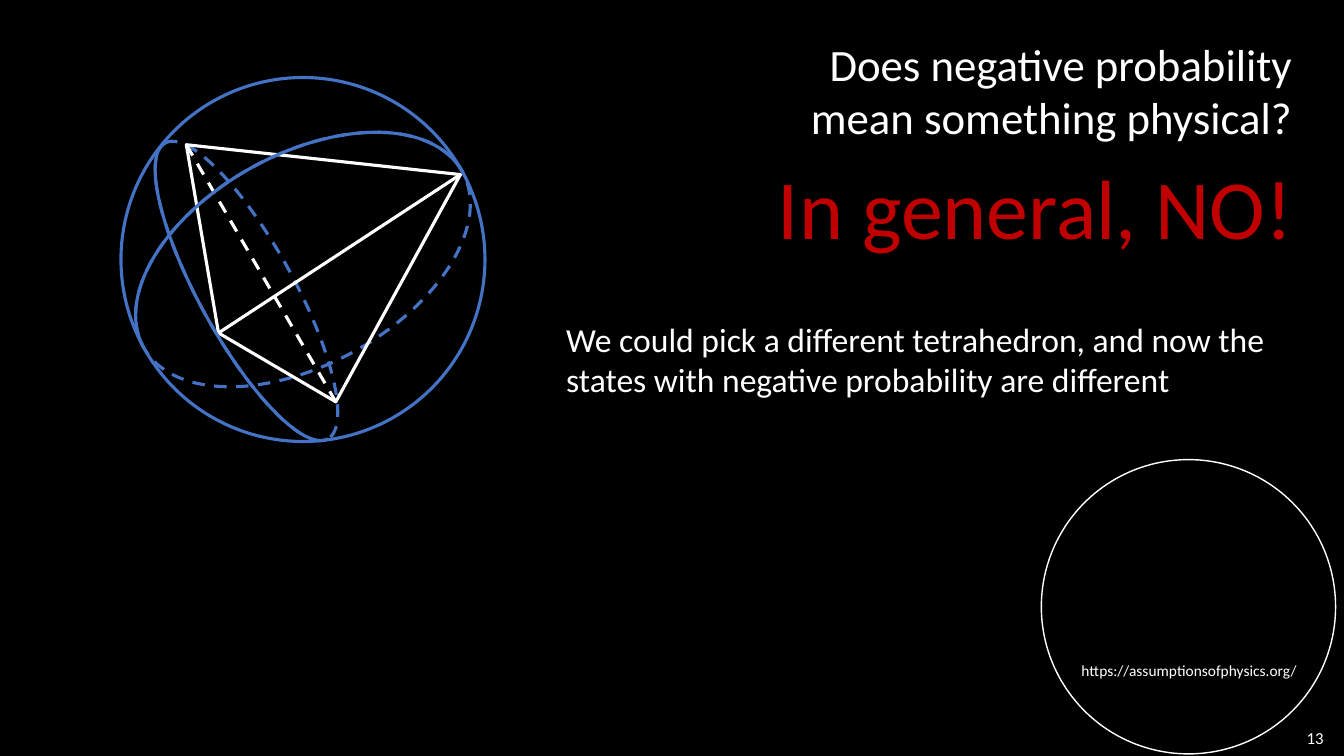
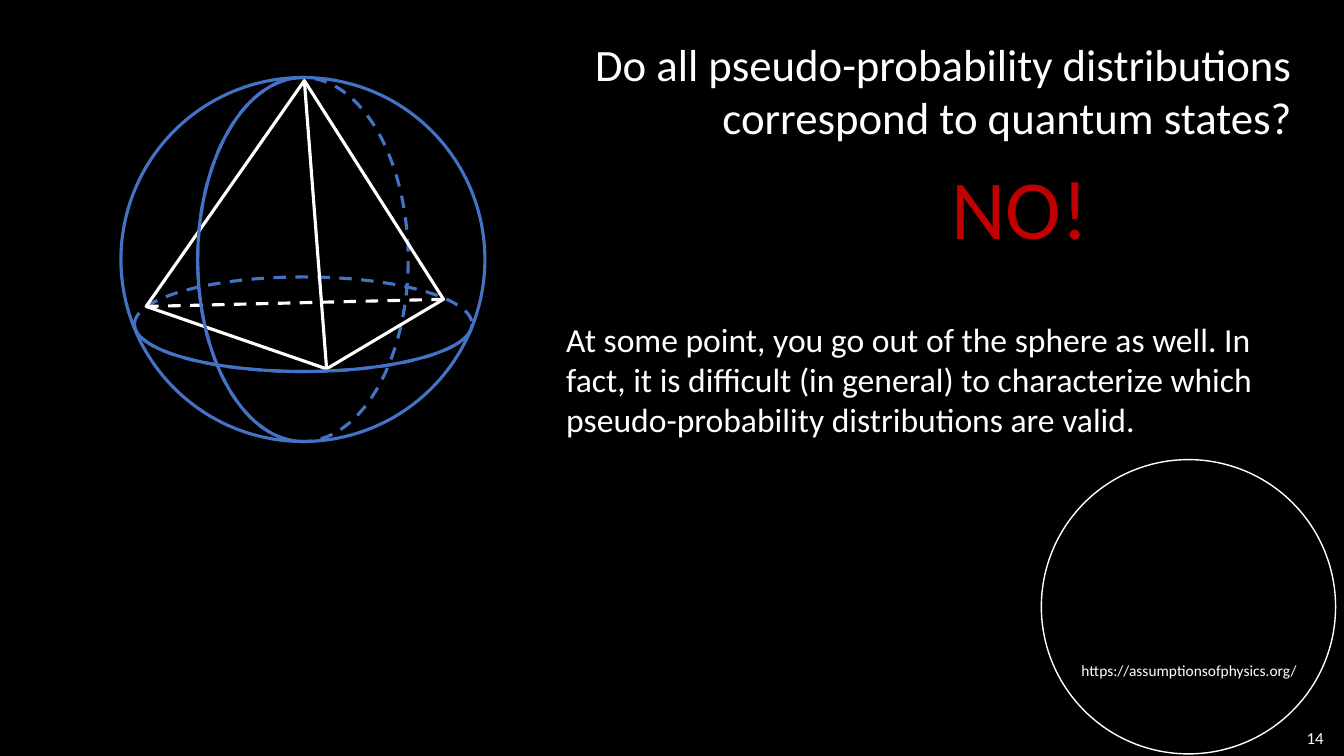
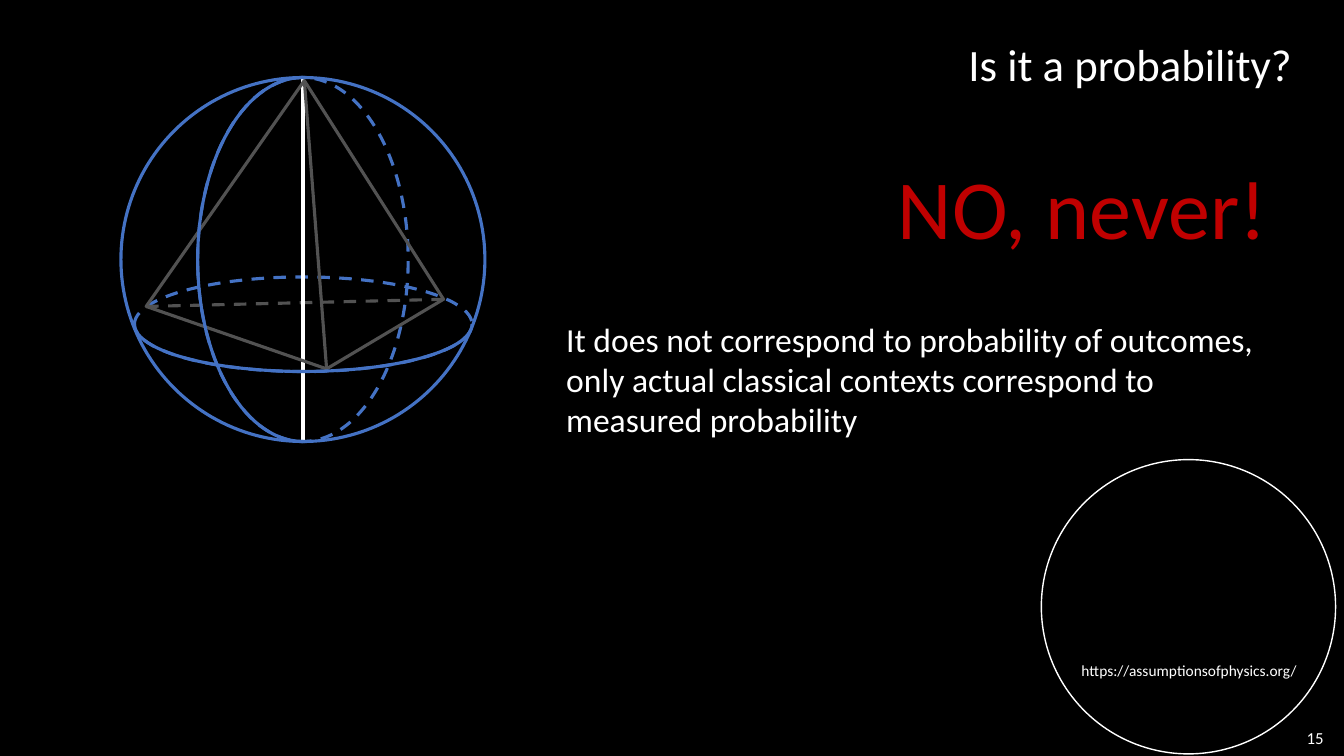
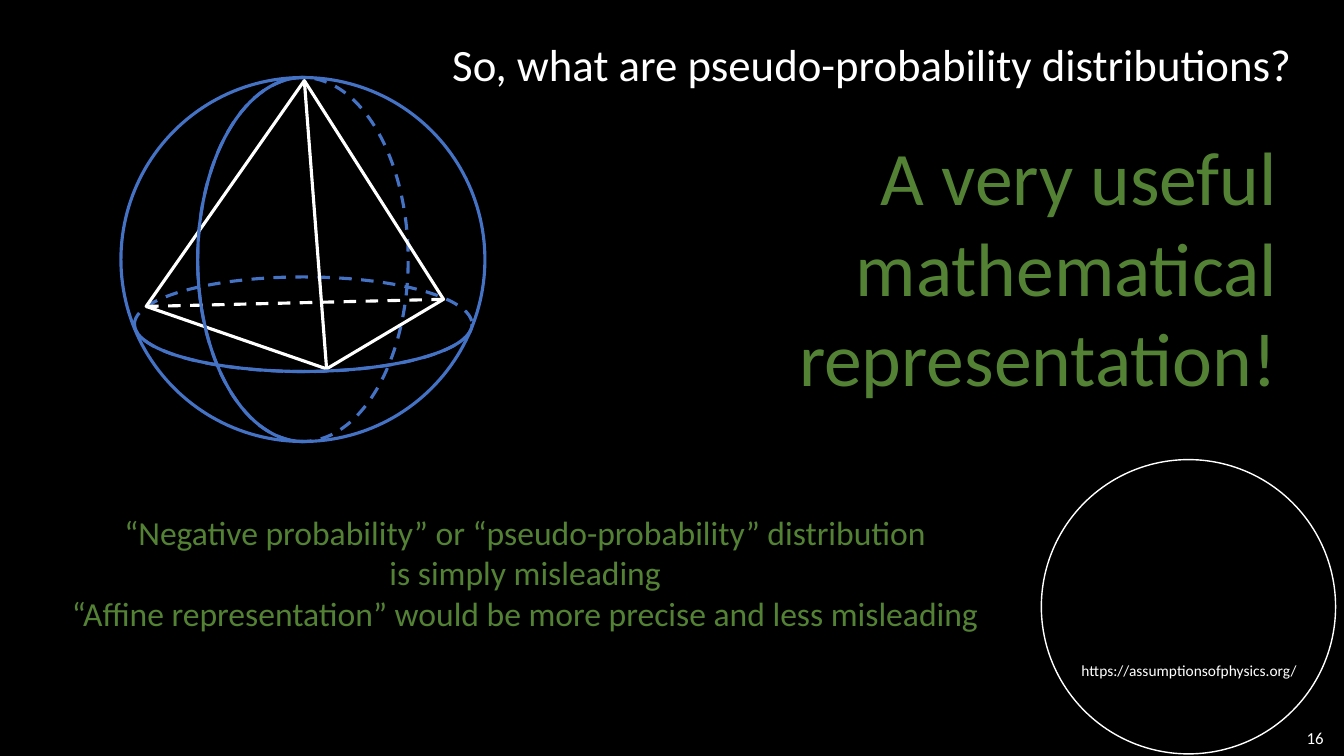
from copy import deepcopy
from math import cos, pi, sin

from lxml import etree
from pptx import Presentation
from pptx.dml.color import RGBColor
from pptx.enum.dml import MSO_LINE
from pptx.enum.shapes import MSO_CONNECTOR, MSO_SHAPE
from pptx.enum.text import MSO_ANCHOR, MSO_AUTO_SIZE, PP_ALIGN
from pptx.oxml.ns import qn
from pptx.util import Pt

OVAL = MSO_SHAPE.OVAL
STRAIGHT = MSO_CONNECTOR.STRAIGHT
DASH = MSO_LINE.DASH
LEFT, CENTER, RIGHT = PP_ALIGN.LEFT, PP_ALIGN.CENTER, PP_ALIGN.RIGHT
TOP, MIDDLE = MSO_ANCHOR.TOP, MSO_ANCHOR.MIDDLE
FIT, FIXED = MSO_AUTO_SIZE.SHAPE_TO_FIT_TEXT, MSO_AUTO_SIZE.NONE

BLACK = RGBColor(0x00, 0x00, 0x00)
WHITE = RGBColor(0xFF, 0xFF, 0xFF)
BLUE = RGBColor(0x44, 0x72, 0xC4)
GRAY = RGBColor(0x52, 0x52, 0x52)
RED = RGBColor(0xC0, 0x00, 0x00)
GREEN = RGBColor(0x54, 0x82, 0x35)
FONT = "Calibri"

SITE = "https://assumptionsofphysics.org/"
FIRST_NUMBER = 13
TITLE_RIGHT, TITLE_TOP = 930.24, 22.3

ANSWER = dict(size=60, color=RED, wrap=False)
CLAIM = dict(size=54, color=GREEN, align=RIGHT, wrap=False)
EXPLANATION = dict(size=24)
CONCLUSION = dict(size=24, color=GREEN, align=CENTER)

SLIDES = [
    dict(
        title="Does negative probability\nmean something physical?",
        title_size=(362.2, 85),
        texts=[
            ("In general, NO!", (548.6, 107.3, 386, 80), ANSWER),
            ("We could pick a different tetrahedron, and now the states with "
             "negative probability are different", (397.4, 223.9, 525.6, 65.5), EXPLANATION),
        ],
        sphere=dict(turn=61.2),
    ),
    dict(
        title="Do all pseudo-probability distributions\ncorrespond to quantum states?",
        title_size=(517.7, 85),
        texts=[
            ("NO!", (672.5, 107.3, 113.8, 80), ANSWER),
            ("At some point, you go out of the sphere as well. In fact, it is difficult "
             "(in general) to characterize which pseudo-probability distributions are valid.",
             (397.4, 223.9, 525.6, 94.3), EXPLANATION),
        ],
        sphere={},
    ),
    dict(
        title="Is it a probability?",
        title_size=(248.4, 46),
        texts=[
            ("NO, never!", (634.3, 107.3, 280.8, 80), ANSWER),
            ("It does not correspond to probability of outcomes, only actual classical "
             "contexts correspond to measured probability",
             (397.4, 223.9, 525.6, 94.3), EXPLANATION),
        ],
        sphere=dict(edge_color=GRAY, axis=True),
    ),
    dict(
        title="So, what are pseudo-probability distributions?",
        title_size=(620.6, 46),
        texts=[
            ("A very useful\nmathematical\nrepresentation!", (559.4, 89.3, 360, 203.8), CLAIM),
            ("“Negative probability” or “pseudo-probability” distribution\n"
             "is simply misleading\n"
             "“Affine representation” would be more precise and less misleading",
             (28.8, 362.2, 692.6, 94.3), CONCLUSION),
        ],
        sphere={},
    ),
]

SPHERE = (216.4, 185.4, 130, 130)
MERIDIAN = (216.4, 185.4, 75.2, 130)
EQUATOR = (216.6, 231.6, 120.6, 33.8)
APEX, RIGHT_CORNER = (217.4, 57.6), (316.8, 213.8)
FRONT_CORNER, LEFT_CORNER = (233.3, 263.5), (104.4, 218.9)
ARC_STEPS = 60


def points(values):
    return [Pt(value) for value in values]


def write(frame, text, size=24, color=WHITE, align=LEFT, anchor=TOP, wrap=True, fit=FIT):
    frame.word_wrap = wrap
    frame.auto_size = fit
    frame.vertical_anchor = anchor
    paragraph = frame.paragraphs[0]
    paragraph.text = text
    paragraph.alignment = align
    for run in paragraph.runs:
        run.font.name = FONT
        run.font.size = Pt(size)
        run.font.color.rgb = color
    run_format = paragraph.runs[0].font
    for line_break in paragraph._p.findall(qn("a:br")):
        line_break.append(deepcopy(paragraph.runs[0]._r.find(qn("a:rPr"))))
    return run_format


def add_text(shapes, text, box, **style):
    label = shapes.add_textbox(*points(box))
    write(label.text_frame, text, **style)
    return label


def stroke(outline, color, width=2.25, dash=None):
    outline.line.color.rgb = color
    outline.line.width = Pt(width)
    if dash:
        outline.line.dash_style = dash


def add_ellipse(shapes, ellipse, color, **style):
    x, y, rx, ry = ellipse
    oval = shapes.add_shape(OVAL, *points((x - rx, y - ry, 2 * rx, 2 * ry)))
    oval.shadow.inherit = False
    oval.fill.background()
    stroke(oval, color, **style)
    return oval


def add_edge(shapes, start, end, color, **style):
    edge = shapes.add_connector(STRAIGHT, *points(start + end))
    stroke(edge, color, **style)
    etree.SubElement(edge.element.find(qn("p:spPr")), qn("a:effectLst"))


def add_outline(shapes, corners, color, close):
    start, *rest = [points(corner) for corner in corners]
    builder = shapes.build_freeform(*start)
    builder.add_line_segments(rest, close=close)
    outline = builder.convert_to_shape()
    outline.shadow.inherit = False
    outline.fill.background()
    stroke(outline, color)


def add_half_ellipse(shapes, ellipse, first_angle):
    x, y, rx, ry = ellipse
    angles = [first_angle + pi * step / ARC_STEPS for step in range(ARC_STEPS + 1)]
    add_outline(shapes, [(x + rx * cos(a), y + ry * sin(a)) for a in angles], BLUE, False)


def add_sphere(slide, turn=0, edge_color=WHITE, axis=False):
    group = slide.shapes.add_group_shape()
    shapes = group.shapes
    add_ellipse(shapes, EQUATOR, BLUE, dash=DASH)
    add_ellipse(shapes, MERIDIAN, BLUE, dash=DASH)
    add_edge(shapes, LEFT_CORNER, RIGHT_CORNER, edge_color, dash=DASH)
    if axis:
        x, y, _, radius = SPHERE
        add_edge(shapes, (x, y - radius), (x, y + radius), WHITE)
    add_outline(shapes, [APEX, RIGHT_CORNER, FRONT_CORNER, LEFT_CORNER], edge_color, True)
    add_edge(shapes, APEX, FRONT_CORNER, edge_color)
    add_half_ellipse(shapes, EQUATOR, 0)
    add_ellipse(shapes, SPHERE, BLUE)
    add_half_ellipse(shapes, MERIDIAN, pi / 2)
    group.rotation = turn


def add_shared_parts(layout, slide):
    for placeholder in list(layout.placeholders)[1:]:
        layout.shapes.element.remove(placeholder.element)
    badge = add_ellipse(slide.shapes, (848.9, 433.4, 105.1, 105.1), WHITE, width=1)
    address = add_text(slide.shapes, SITE, (765.4, 468.7, 169.2, 20.6), size=11, wrap=False)
    for part in (badge, address):
        layout.shapes.element.append(part.element)


def add_title(slide, text, size):
    width, height = size
    title = slide.shapes.title
    title.left, title.top, title.width, title.height = points(
        (TITLE_RIGHT - width, TITLE_TOP, width, height))
    write(title.text_frame, text, size=32, align=RIGHT, wrap=False, fit=FIXED)


def main():
    prs = Presentation()
    prs.slide_width, prs.slide_height = Pt(960), Pt(540)
    backdrop = prs.slide_master.background.fill
    backdrop.solid()
    backdrop.fore_color.rgb = BLACK
    layout = prs.slide_layouts[5]

    for index, content in enumerate(SLIDES):
        slide = prs.slides.add_slide(layout)
        if index == 0:
            add_shared_parts(layout, slide)
        add_title(slide, content["title"], content["title_size"])
        add_sphere(slide, **content["sphere"])
        for text, box, style in content["texts"]:
            add_text(slide.shapes, text, box, **style)
        add_text(slide.shapes, str(FIRST_NUMBER + index), (908.6, 517.7, 43.9, 18),
                 size=12, align=RIGHT, anchor=MIDDLE, fit=FIXED)

    prs.save("out.pptx")


if __name__ == "__main__":
    main()
